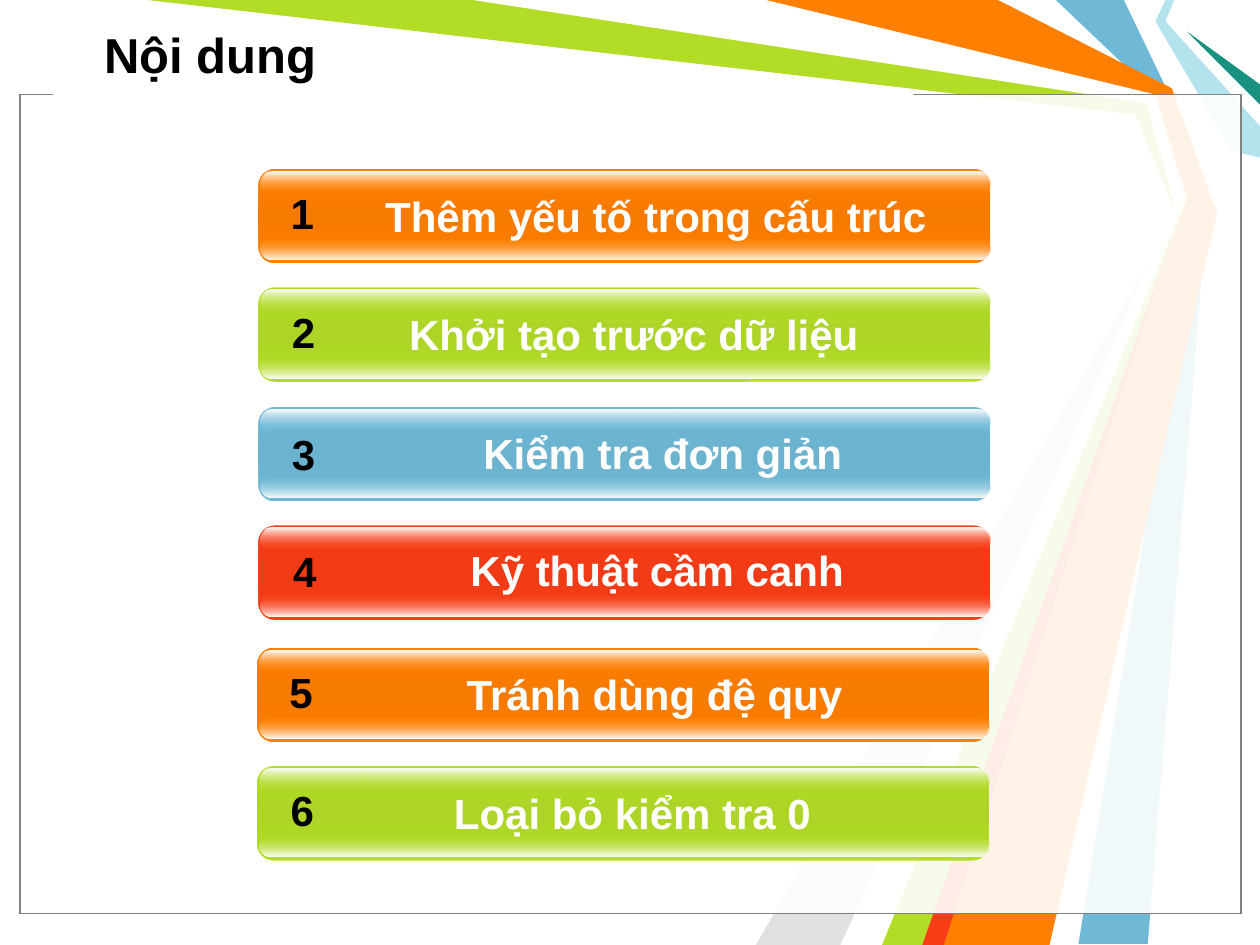
from lxml.etree import SubElement
from pptx import Presentation
from pptx.dml.color import RGBColor
from pptx.enum.shapes import MSO_SHAPE
from pptx.enum.text import MSO_ANCHOR, MSO_AUTO_SIZE, PP_ALIGN
from pptx.oxml.ns import qn
from pptx.util import Pt

PX = 9144
TITLE = "Nội dung"
RIBBONS = [
    ("6FB9D7", [(892, 0), (929, 77), (958, 167), (911, 749), (856, 749), (950, 167), (917, 75), (838, 0)]),
    ("B3DC27", [(117, 0), (383, 0), (914, 78), (942, 169), (742, 750), (692, 750), (935, 173), (901, 91)]),
    ("E0E0E0", [(667, 750), (927, 181), (600, 750)]),
    ("FFFFFF", [(375, 0), (910, 82), (932, 162), (675, 750), (700, 750), (941, 158), (917, 75), (600, 0)]),
    ("B4E3EE", [(925, 0), (917, 17), (978, 120), (1000, 125), (1000, 100), (925, 17), (932, 0)]),
    ("189180", [(1000, 83), (942, 25), (1000, 67)]),
    ("FF7F00", [(608, 0), (792, 0), (930, 70), (966, 169), (833, 750), (733, 750), (942, 158), (917, 75)]),
    ("F93D17", [(732, 750), (932, 183), (749, 750)]),
]
ORANGE, GREEN = ("FF7F00", "F67B00"), ("B3DC27", "ADD426")
BLUE, RED = ("6FB9D7", "6BB3CF"), ("F93D17", "F03B16")
# bar left, bar top, colours, label, label (left, top, width), number (left, top)
ITEMS = [
    (205, 134, ORANGE, "Thêm yếu tố trong cấu trúc", (256, 146, 529), (219, 144)),
    (205, 228, GREEN, "Khởi tạo trước dữ liệu", (257, 240, 492), (220, 238)),
    (205, 323, BLUE, "Kiểm tra đơn giản", (267, 334, 518), (220, 335)),
    (205, 417, RED, "Kỹ thuật cầm canh", (257, 427, 529), (221, 428)),
    (204, 514, ORANGE, "Tránh dùng đệ quy", (255, 526, 529), (218, 524)),
    (204, 608, GREEN, "Loại bỏ kiểm tra 0", (256, 620, 492), (219, 618)),
]


def rgb(value):
    return RGBColor.from_string(value)


def set_alpha(clr, percent):
    SubElement(clr, qn("a:alpha")).set("val", str(percent * 1000))


def add_ribbon(s, color, points):
    fb = s.shapes.build_freeform(*points[0], scale=PX)
    fb.add_line_segments(points[1:], close=True)
    sp = fb.convert_to_shape()
    sp.shadow.inherit = False
    sp.fill.solid()
    sp.fill.fore_color.rgb = rgb(color)
    sp.line.fill.background()


def add_box(s, kind, *box):
    sp = s.shapes.add_shape(kind, *(v * PX for v in box))
    sp.shadow.inherit = False
    sp.line.fill.background()
    return sp


def add_white(s, box, alpha=100, line=None):
    sp = add_box(s, MSO_SHAPE.RECTANGLE, *box)
    sp.fill.solid()
    sp.fill.fore_color.rgb = rgb("FFFFFF")
    set_alpha(sp._element.spPr.find(".//" + qn("a:srgbClr")), alpha)
    if line:
        sp.line.color.rgb = rgb(line)
        sp.line.width = Pt(0.75)


def add_gradient(s, box, radius, stops):
    sp = add_box(s, MSO_SHAPE.ROUNDED_RECTANGLE, *box)
    sp.adjustments[0] = radius
    sp.fill.gradient()
    sp.fill.gradient_angle = 270
    lst = sp._element.spPr.find(".//" + qn("a:gsLst"))
    for gs in list(lst):
        lst.remove(gs)
    for pos, color, alpha in stops:
        gs = SubElement(lst, qn("a:gs"))
        gs.set("pos", str(pos * 1000))
        clr = SubElement(gs, qn("a:srgbClr"))
        clr.set("val", color)
        set_alpha(clr, alpha)


def add_text(s, text, box, size, color, align=PP_ALIGN.CENTER, hanging=0):
    sp = s.shapes.add_textbox(*(v * PX for v in box))
    tf = sp.text_frame
    tf.word_wrap = True
    tf.text = text
    p = tf.paragraphs[0]
    p.alignment = align
    if hanging:
        pPr = p._p.get_or_add_pPr()
        pPr.set("marL", str(hanging * PX))
        pPr.set("indent", str(-hanging * PX))
    font = p.runs[0].font
    font.name, font.size, font.bold = "Arial", Pt(size), True
    font.color.rgb = rgb(color)
    return tf


def add_item(s, number, left, top, colors, label, label_box, number_at):
    base, middle = colors
    clear, white = (base, 0), ("FFFFFF", 100)
    add_gradient(s, (left, top, 581, 75), 0.175,
                 [(0, base, 100), (50, middle, 100), (100, base, 100)])
    for offset, start, end in ((54, clear, white), (2, white, clear)):
        add_gradient(s, (left + 2, top + offset, 579, 18), 0.5,
                     [(0, *start), (100, *end)])
    x, y, width = label_box
    for tf in (add_text(s, label, (x, y, width, 50), 24, "FFFFFF", hanging=50),
               add_text(s, str(number), (*number_at, 42, 50), 24, "000000")):
        tf.auto_size = MSO_AUTO_SIZE.SHAPE_TO_FIT_TEXT


def main():
    """Build the contents slide: ribbons, frame, title and six glossy bars."""
    prs = Presentation()
    prs.slide_width, prs.slide_height = 1000 * PX, 750 * PX
    s = prs.slides.add_slide(prs.slide_layouts[6])
    for color, points in RIBBONS:
        add_ribbon(s, color, points)
    for line in ("000000", "808080"):
        add_white(s, (16, 75, 969, 650), 69, line)
    add_white(s, (42, 74, 683, 17))
    tf = add_text(s, TITLE, (73, 8, 911, 69), 28, "000000", PP_ALIGN.LEFT)
    tf.vertical_anchor = MSO_ANCHOR.MIDDLE
    for number, item in enumerate(ITEMS, 1):
        add_item(s, number, *item)
    prs.save("out.pptx")


if __name__ == "__main__":
    main()
